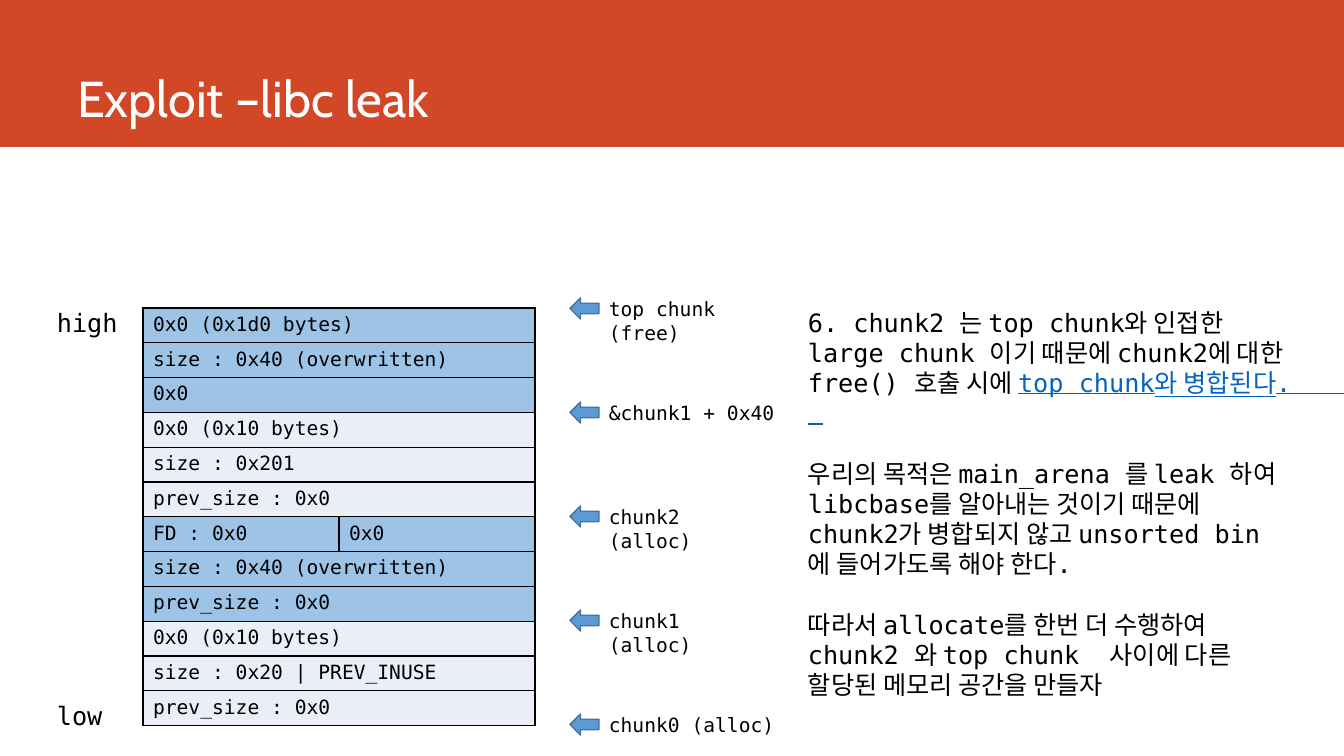
from pptx import Presentation, util as u
from pptx.dml.color import RGBColor
from pptx.enum import shapes, text
from pptx.oxml import parse_xml
from pptx.oxml.ns import nsdecls

HUES = {"band": "D24726", "white": "FFFFFF", "ink": "000000", "link": "0563C1",
        "dark": "9DC3E6", "pale": "EAEFF7", "arrow": "5B9BD5", "edge": "43739E"}
MONO = "DejaVu Sans Mono"


def px(n):
    return u.Emu(round(n * 914400 / 100.8))


def hue(name):
    return RGBColor.from_string(HUES[name])


def write(para, words, size=18, face=MONO, color="ink", under=None):
    run = para.add_run()
    run.text = words
    font = run.font
    font.size, font.name, font.underline = u.Pt(size), face, under
    font.color.rgb = hue(color)


class Deck:
    def __init__(self):
        self.prs = Presentation()
        self.prs.slide_width, self.prs.slide_height = px(1344), px(756)
        self.slide = self.prs.slides.add_slide(self.prs.slide_layouts[5])
        self.items = self.slide.shapes

    def shape(self, kind, x, y, w, h, fill, line=None):
        item = self.items.add_shape(kind, px(x), px(y), px(w), px(h))
        item.shadow.inherit = False
        item.fill.solid()
        item.fill.fore_color.rgb = hue(fill)
        if line:
            item.line.color.rgb = hue(line)
            item.line.width = u.Pt(1)
        else:
            item.line.fill.background()
        return item

    def title(self, words, x, y, w, h):
        item = self.items.title
        item.left, item.top, item.width, item.height = px(x), px(y), px(w), px(h)
        frame = item.text_frame
        frame.vertical_anchor = text.MSO_ANCHOR.BOTTOM
        frame.paragraphs[0].alignment = text.PP_ALIGN.LEFT
        write(frame.paragraphs[0], words, size=36, face="Cabin", color="white")

    def box(self, paras, x, y, w, h, gap=0, size=18):
        """Each paragraph is a list of (words, color, underline) runs."""
        frame = self.items.add_textbox(px(x), px(y), px(w), px(h)).text_frame
        frame.word_wrap = True
        for i, runs in enumerate(paras):
            para = frame.add_paragraph() if i else frame.paragraphs[0]
            para.space_before = u.Pt(gap if i else 0)
            for words, color, under in runs:
                write(para, words, size=size, color=color, under=under)

    def cell(self, cell, words, fill):
        cell.fill.solid()
        cell.fill.fore_color.rgb = hue(fill)
        if words:
            write(cell.text_frame.paragraphs[0], words, size=14)
        props = cell._tc.get_or_add_tcPr()
        for i, side in enumerate("LRTB"):
            props.insert(i, parse_xml(
                f'<a:ln{side} {nsdecls("a")} w="12700"><a:solidFill>'
                f'<a:srgbClr val="{HUES["ink"]}"/></a:solidFill></a:ln{side}>'))

    def table(self, rows, x, y, w, h):
        grid = self.items.add_table(len(rows), 2, px(x), px(y), px(w), px(h)).table
        for r, (fill, *words) in enumerate(rows):
            left, right = grid.cell(r, 0), grid.cell(r, 1)
            if len(words) == 1:
                left.merge(right)
                words.append("")
            self.cell(left, words[0], fill)
            self.cell(right, words[1], fill)


def plain(words):
    return [(words, "ink", None)]


deck = Deck()

# Title band, behind the title
band = deck.shape(shapes.MSO_SHAPE.RECTANGLE, 0, 0, 1344, 147, "band")
deck.items._spTree.insert(2, band._element)
deck.title("Exploit –libc leak", 67, 0, 1185, 133)

# Memory layout, high to low addresses
for words, y in (("high", 302), ("low", 695)):
    deck.box([plain(words)], 47, y, 88, 40)
deck.table([
    ("dark", "0x0 (0x1d0 bytes)"),
    ("dark", "size : 0x40 (overwritten)"),
    ("dark", "0x0"),
    ("pale", "0x0 (0x10 bytes)"),
    ("pale", "size : 0x201"),
    ("pale", "prev_size : 0x0"),
    ("dark", "FD : 0x0", "0x0"),
    ("dark", "size : 0x40 (overwritten)"),
    ("dark", "prev_size : 0x0"),
    ("pale", "0x0 (0x10 bytes)"),
    ("pale", "size : 0x20 | PREV_INUSE"),
    ("pale", "prev_size : 0x0"),
], 143, 308, 392, 418)

# Chunk pointers
marks = [["top chunk", "(free)"], ["&chunk1 + 0x40"], ["chunk2", "(alloc)"],
         ["chunk1", "(alloc)"], ["chunk0 (alloc)"]]
for i, lines in enumerate(marks):
    y = 298 + 104 * i
    deck.shape(shapes.MSO_SHAPE.LEFT_ARROW, 570, y, 29, 21, "arrow", "edge")
    deck.box([plain(line) for line in lines], 599, y - 6, 199,
             10 + 24 * len(lines), size=14)

# Explanation
deck.box([
    [("6. chunk2 는 top chunk와 인접한 large chunk 이기 때문에 "
      "chunk2에 대한 free() 호출 시에 ", "ink", None),
     ("top chunk와 병합된다. ", "link", True)],
    plain("우리의 목적은 main_arena 를 leak 하여 libcbase를 알아내는 것이기 때문에 "
          "chunk2가 병합되지 않고 unsorted bin 에 들어가도록 해야 한다."),
    plain("따라서 allocate를 한번 더 수행하여 chunk2 와 top chunk  사이에 다른 "
          "할당된 메모리 공간을 만들자"),
], 798, 302, 499, 437, gap=21.5)

deck.prs.save("out.pptx")
